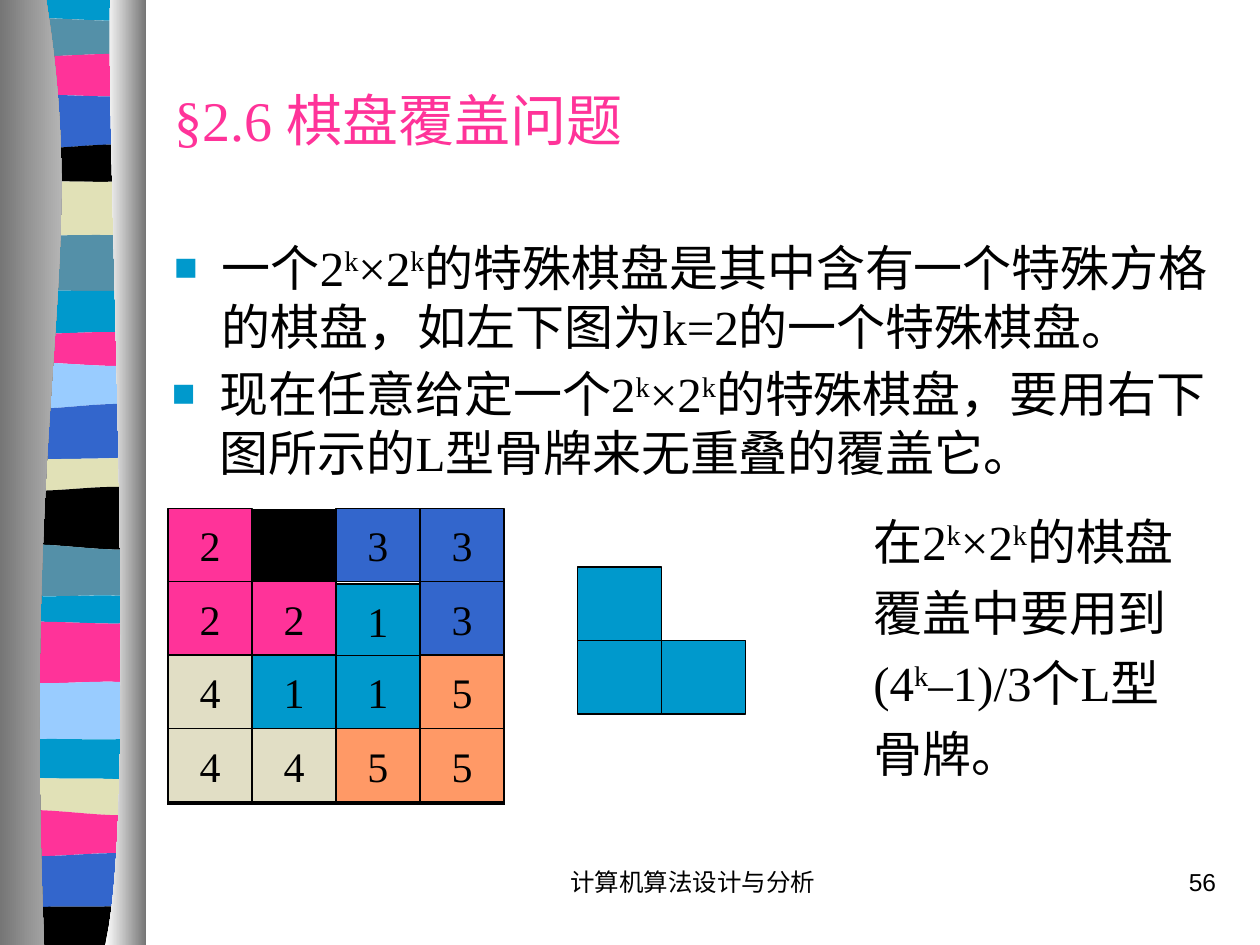
from lxml.etree import SubElement
from pptx import Presentation
from pptx.dml.color import RGBColor
from pptx.enum.shapes import MSO_SHAPE
from pptx.enum.text import MSO_ANCHOR, PP_ALIGN
from pptx.oxml.ns import qn
from pptx.util import Inches, Pt

COLUMNS, ROWS = 120, 90
UNIT = Inches(10) / COLUMNS
CELL_WIDTH, CELL_HEIGHT = 8, 7

BLACK = RGBColor(0x00, 0x00, 0x00)
CYAN = RGBColor(0x00, 0x99, 0xCC)
STEEL = RGBColor(0x54, 0x90, 0xA8)
PINK = RGBColor(0xFF, 0x33, 0x99)
BLUE = RGBColor(0x33, 0x66, 0xCC)
BEIGE = RGBColor(0xE1, 0xE1, 0xB7)
SKY = RGBColor(0x99, 0xCC, 0xFF)
SAND = RGBColor(0xE1, 0xDE, 0xC5)
ORANGE = RGBColor(0xFF, 0x99, 0x66)
GRAY = RGBColor(0x76, 0x76, 0x76)
PALE = RGBColor(0xD3, 0xD3, 0xD3)
WHITE = RGBColor(0xFF, 0xFF, 0xFF)

STRIPES = [
    (CYAN, 1.8, 1.9), (STEEL, 5.2, 5.3), (PINK, 9.1, 9.1), (BLUE, 14, 13.9),
    (BLACK, 17.4, 17.2), (BEIGE, 22.2, 22.6), (STEEL, 27.8, 27.6),
    (CYAN, 31.6, 31.8), (PINK, 34.6, 34.8), (SKY, 38.8, 38.6),
    (BLUE, 43.9, 43.5), (BEIGE, 46.6, 46.5), (BLACK, 51.9, 52.3),
    (STEEL, 56.6, 56.9), (CYAN, 59.3, 59.3), (PINK, 64.9, 65.1),
    (SKY, 70.5, 70.3), (CYAN, 73.9, 74.4), (BEIGE, 77.2, 77.6),
    (PINK, 81.4, 81.4), (BLUE, 86.5, 86.2), (BLACK, 90, 90),
]
BOARD = ["2 33", "2213", "4115", "4455"]
DOMINO_COLORS = {"1": CYAN, "2": PINK, "3": BLUE, "4": SAND, "5": ORANGE}


def grid(*values):
    return [round(value * UNIT) for value in values]


def add_outline(slide, points, curve_starts):
    builder = slide.shapes.build_freeform(*grid(*points[0]), scale=1.0)
    builder.add_line_segments([grid(*point) for point in points[1:]], close=True)
    shape = builder.convert_to_shape()
    shape.shadow.inherit = False
    shape.line.fill.background()
    lines = list(shape._element.iter(qn("a:lnTo")))
    for start in curve_starts:
        curve = lines[start].makeelement(qn("a:cubicBezTo"), {})
        lines[start].addprevious(curve)
        for line in lines[start:start + 3]:
            curve.append(line[0])
            line.getparent().remove(line)
    return shape


def add_column(slide, points, left_color, right_color):
    fill = add_outline(slide, points, [0]).fill
    fill.gradient()
    fill.gradient_angle = 0
    for stop, color in zip(fill.gradient_stops, (left_color, right_color)):
        stop.color.rgb = color


def wavy_edge(left, right, left_row, right_row, wave):
    third = (right - left) / 3
    return [(left, left_row), (left + third, left_row + wave),
            (right - third, right_row - wave), (right, right_row)]


def add_ribbon(slide, left, width, height):
    right = left + width
    upper = wavy_edge(left, right, 0, 0, 0)
    for index, (color, left_row, right_row) in enumerate(STRIPES):
        wave = 0 if left_row == height else (0.5 if index % 2 else -0.3)
        lower = wavy_edge(left, right, left_row, right_row, wave)
        fill = add_outline(slide, lower + upper[::-1], [0, 4]).fill
        fill.solid()
        fill.fore_color.rgb = color
        upper = lower
    inner_edge = [(4.4, 0), (8.6, 26), (2.1, 35.6), (4.2, height)]
    outer_edge = [(10.5, 0), (10.1, 15), (13.3, 77.5), (10, height)]
    add_column(slide, inner_edge + [(0, height), (0, 0)], GRAY, PALE)
    add_column(slide, outer_edge + [(13.9, height), (13.9, 0)], WHITE, GRAY)


def write_text(paragraph, text, size, color=BLACK, font="Times New Roman"):
    for index, part in enumerate(text.split("^")):
        run = paragraph.add_run()
        run.text = part
        run.font.size = Pt(size)
        run.font.name = font
        run.font.color.rgb = color
        if index % 2:
            run.font._element.set("baseline", "30000")


def add_text(slide, box, text, size, before=0, **style):
    frame = slide.shapes.add_textbox(*grid(*box)).text_frame
    frame.word_wrap = True
    paragraph = frame.paragraphs[0]
    paragraph.space_before = Pt(before)
    write_text(paragraph, text, size, **style)
    return paragraph


def add_title(slide, box, text):
    add_text(slide, box, text, 32, color=PINK)
    slide.shapes[-1].text_frame.vertical_anchor = MSO_ANCHOR.MIDDLE


def add_bullet(slide, box, text):
    properties = add_text(slide, box, text, 28, before=7)._p.get_or_add_pPr()
    indent = Inches(0.38)
    properties.set("marL", str(indent))
    properties.set("indent", str(-indent))
    bullet_color = SubElement(properties, qn("a:buClr"))
    SubElement(bullet_color, qn("a:srgbClr"), val=str(CYAN))
    SubElement(properties, qn("a:buSzPct"), val="80000")
    SubElement(properties, qn("a:buFont"), typeface="Arial")
    SubElement(properties, qn("a:buChar"), char="■")


def add_square(group, left, top, color, label=""):
    square = group.shapes.add_shape(
        MSO_SHAPE.RECTANGLE, *grid(left, top, CELL_WIDTH, CELL_HEIGHT))
    square.shadow.inherit = False
    square.fill.solid()
    square.fill.fore_color.rgb = color
    square.line.color.rgb = BLACK
    square.line.width = Pt(0.75)
    if label:
        frame = square.text_frame
        frame.word_wrap = False
        frame.vertical_anchor = MSO_ANCHOR.MIDDLE
        frame.paragraphs[0].alignment = PP_ALIGN.CENTER
        write_text(frame.paragraphs[0], label, 24)


def set_borders(cell, widths):
    properties = cell._tc.get_or_add_tcPr()
    for index, (side, width) in enumerate(widths.items()):
        line = properties.makeelement(qn(f"a:ln{side}"), {"w": str(Pt(width))})
        fill = SubElement(line, qn("a:solidFill"))
        SubElement(fill, qn("a:srgbClr"), val=str(BLACK))
        properties.insert(index, line)


def add_board_table(slide, left, top):
    count = len(BOARD)
    table = slide.shapes.add_table(
        count, count, *grid(left, top, count * CELL_WIDTH, count * CELL_HEIGHT)).table
    table.first_row = table.horz_banding = False
    for row in range(count):
        for column in range(count):
            cell = table.cell(row, column)
            if BOARD[row][column] == " ":
                cell.fill.solid()
                cell.fill.fore_color.rgb = BLACK
            else:
                cell.fill.background()
            outer = {"L": column == 0, "R": column == count - 1,
                     "T": row == 0, "B": row == count - 1}
            set_borders(cell, {side: 1.08 if edge else 0.45
                               for side, edge in outer.items()})


def add_board(slide, left, top):
    add_board_table(slide, left, top + 0.2)
    for digit, color in DOMINO_COLORS.items():
        group = slide.shapes.add_group_shape()
        for row, labels in enumerate(BOARD):
            for column, label in enumerate(labels):
                if label == digit:
                    drop = 0.25 if (digit, row) == ("1", 1) else 0
                    add_square(group, left + column * CELL_WIDTH,
                               top + row * CELL_HEIGHT + drop, color, label)


def add_domino(slide, left, top):
    group = slide.shapes.add_group_shape()
    for column, row in ((0, 0), (0, 1), (1, 1)):
        add_square(group, left + column * CELL_WIDTH, top + row * CELL_HEIGHT, CYAN)


def add_footer(slide, box, text, alignment):
    paragraph = add_text(slide, box, text, 14, before=8.8, font="Arial")
    paragraph.alignment = alignment


def main():
    presentation = Presentation()
    presentation.slide_width, presentation.slide_height = grid(COLUMNS, ROWS)
    slide = presentation.slides.add_slide(presentation.slide_layouts[6])
    add_ribbon(slide, 1, 12.5, ROWS)
    add_footer(slide, (47, 82, 38, 6), "计算机算法设计与分析", PP_ALIGN.CENTER)
    add_footer(slide, (92, 82, 25, 6), "56", PP_ALIGN.RIGHT)
    add_title(slide, (15.4, 6, 102, 10.7), "§2.6 棋盘覆盖问题")
    add_bullet(slide, (15.4, 22, 102, 13),
               "一个2^k^×2^k^的特殊棋盘是其中含有一个特殊方格的棋盘，如左下图为k=2的一个特殊棋盘。")
    add_bullet(slide, (15.2, 34, 102, 13),
               "现在任意给定一个2^k^×2^k^的特殊棋盘，要用右下图所示的L型骨牌来无重叠的覆盖它。")
    add_board(slide, 16, 48.4)
    add_domino(slide, 55, 54)
    note = add_text(slide, (82, 47, 31, 28),
                    "在2^k^×2^k^的棋盘覆盖中要用到(4^k^–1)/3个L型骨牌。", 28, before=3.5)
    note.line_spacing = 1.2
    presentation.save("out.pptx")


if __name__ == "__main__":
    main()
